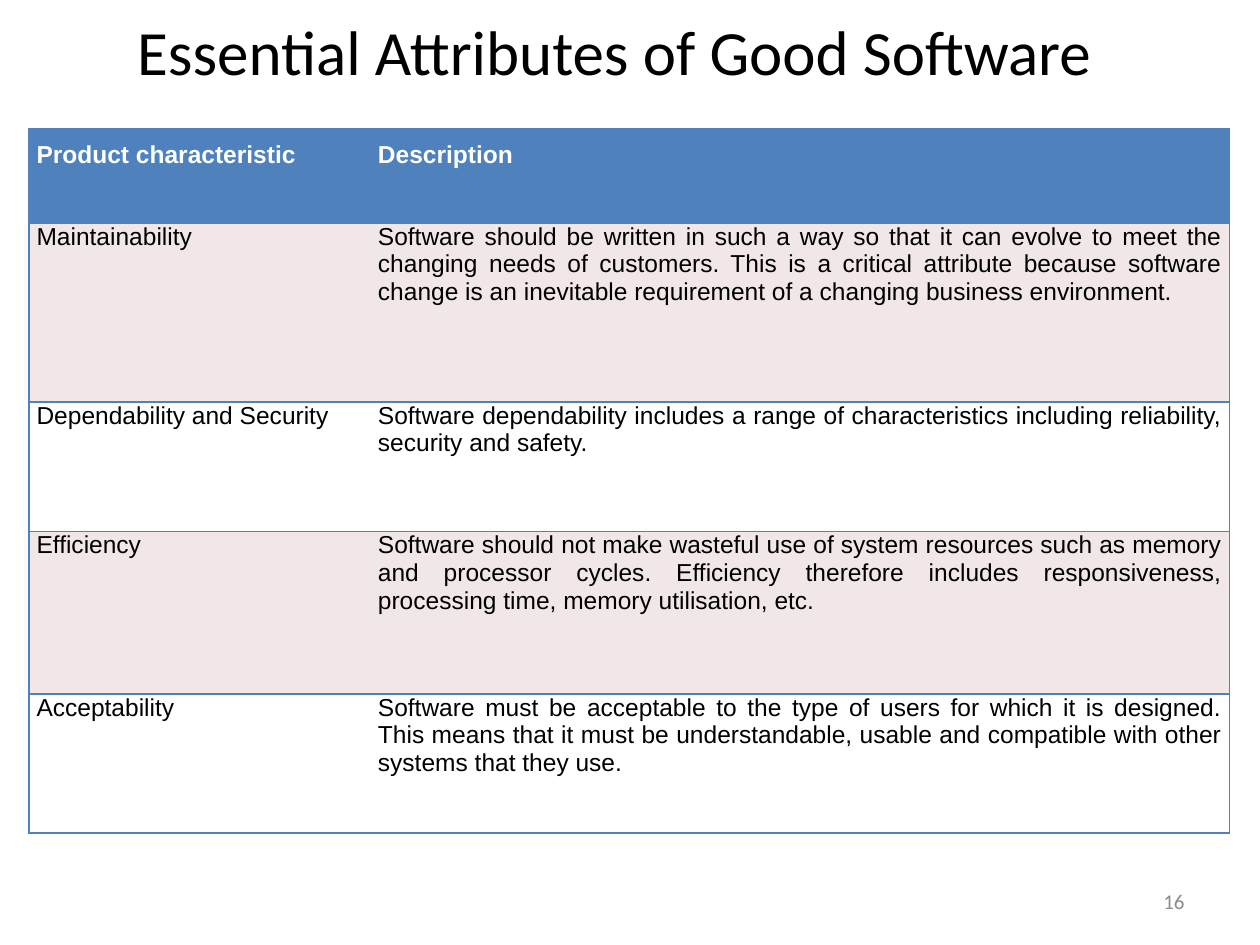
import dataclasses

import pptx
import pptx.dml.color
import pptx.enum.text
import pptx.oxml
import pptx.oxml.ns
import pptx.util

ALIGN = pptx.enum.text.PP_ALIGN
ANCHOR = pptx.enum.text.MSO_ANCHOR
Inches = pptx.util.Inches
Pt = pptx.util.Pt


@dataclasses.dataclass(frozen=True)
class Theme:
    ink: str = "000000"
    light: str = "FFFFFF"
    muted: str = "8C8C8C"
    accent: str = "4F81BD"
    band: str = "F1E7E7"
    title_size: int = 36
    body_size: int = 14
    number_size: int = 12
    heading_font: str = "Calibri"
    body_font: str = "Arial"
    border: int = 1


HEADER = ("Product characteristic", "Description")
ATTRIBUTES = [
    ("Maintainability",
     "Software should be written in such a way so that it can evolve to meet the "
     "changing needs of customers. This is a critical attribute because software "
     "change is an inevitable requirement of a changing business environment."),
    ("Dependability and Security",
     "Software dependability includes a range of characteristics including "
     "reliability, security and safety."),
    ("Efficiency",
     "Software should not make wasteful use of system resources such as memory and "
     "processor cycles. Efficiency therefore includes responsiveness, processing "
     "time, memory utilisation, etc."),
    ("Acceptability",
     "Software must be acceptable to the type of users for which it is designed. "
     "This means that it must be understandable, usable and compatible with other "
     "systems that they use."),
]


def rgb(value):
    return pptx.dml.color.RGBColor.from_string(value)


def apply(target, values):
    for name, value in values.items():
        setattr(target, name, value)


class SlideBuilder:
    COLUMNS, ROWS = 100, 75

    def __init__(self, deck, theme):
        self.theme = theme
        self.column = deck.slide_width / self.COLUMNS
        self.row = deck.slide_height / self.ROWS
        self.page = deck.slides.add_slide(deck.slide_layouts[6])

    def across(self, count):
        return round(count * self.column)

    def down(self, count):
        return round(count * self.row)

    def place(self, left, top, width, height):
        return self.across(left), self.down(top), self.across(width), self.down(height)

    def fill_text(self, frame, text, align, font, size, color, bold=False):
        para = frame.paragraphs[0]
        para.alignment = align
        span = para.add_run()
        span.text = text
        apply(span.font, {"name": font, "size": Pt(size), "bold": bold})
        span.font.color.rgb = rgb(color)

    def text(self, area, text, align, size, color):
        frame = self.page.shapes.add_textbox(*self.place(*area)).text_frame
        apply(frame, {"word_wrap": True, "vertical_anchor": ANCHOR.MIDDLE})
        self.fill_text(frame, text, align, self.theme.heading_font, size, color)

    def borders(self, cell, visible):
        namespace = pptx.oxml.ns.nsdecls("a")
        line = f'<a:solidFill><a:srgbClr val="{self.theme.accent}"/></a:solidFill>'
        properties = cell._tc.get_or_add_tcPr()
        for index, side in enumerate("LRTB"):
            paint = line if side in visible else "<a:noFill/>"
            properties.insert(index, pptx.oxml.parse_xml(
                f'<a:ln{side} {namespace} w="{Pt(self.theme.border)}">{paint}</a:ln{side}>'))

    def cell(self, cell, text, align, fill, color, top, bold, visible):
        apply(cell, {
            "margin_left": Inches(0.06), "margin_right": Inches(0.06),
            "margin_top": Inches(top), "margin_bottom": Inches(0.1),
            "vertical_anchor": ANCHOR.TOP,
        })
        cell.fill.solid()
        cell.fill.fore_color.rgb = rgb(fill)
        self.borders(cell, visible)
        self.fill_text(cell.text_frame, text, align, self.theme.body_font,
                       self.theme.body_size, color, bold)

    def table(self, left, top, widths, heights, records, left_aligned):
        theme = self.theme
        area = self.place(left, top, sum(widths), sum(heights))
        table = self.page.shapes.add_table(len(heights), len(widths), *area).table
        for column, width in zip(table.columns, widths):
            column.width = self.across(width)
        for row, height in zip(table.rows, heights):
            row.height = self.down(height)
        for r, record in enumerate(records):
            if r == 0:
                style = {"fill": theme.accent, "color": theme.light, "top": 0.1, "bold": True}
            else:
                style = {"fill": theme.band if r % 2 else theme.light,
                         "color": theme.ink, "top": 0, "bold": False}
            for c, text in enumerate(record):
                align = ALIGN.LEFT if text in left_aligned else ALIGN.JUSTIFY
                visible = "TB" + ("R" if c else "L")
                self.cell(table.cell(r, c), text, align, visible=visible, **style)


def main():
    deck = pptx.Presentation()
    apply(deck, {"slide_width": Inches(10), "slide_height": Inches(7.5)})
    theme = Theme()
    builder = SlideBuilder(deck, theme)
    builder.text((5, 0.8, 87.5, 6.4), "Essential Attributes of Good Software",
                 ALIGN.CENTER, theme.title_size, theme.ink)
    builder.table(2.3, 10.2, (27.1, 68.2), (7.5, 14.2, 10.3, 12.9, 11),
                  [HEADER, *ATTRIBUTES], {"Dependability and Security"})
    builder.text((71.7, 69.5, 23.3, 4), "16", ALIGN.RIGHT, theme.number_size, theme.muted)
    deck.save("out.pptx")


if __name__ == "__main__":
    main()
